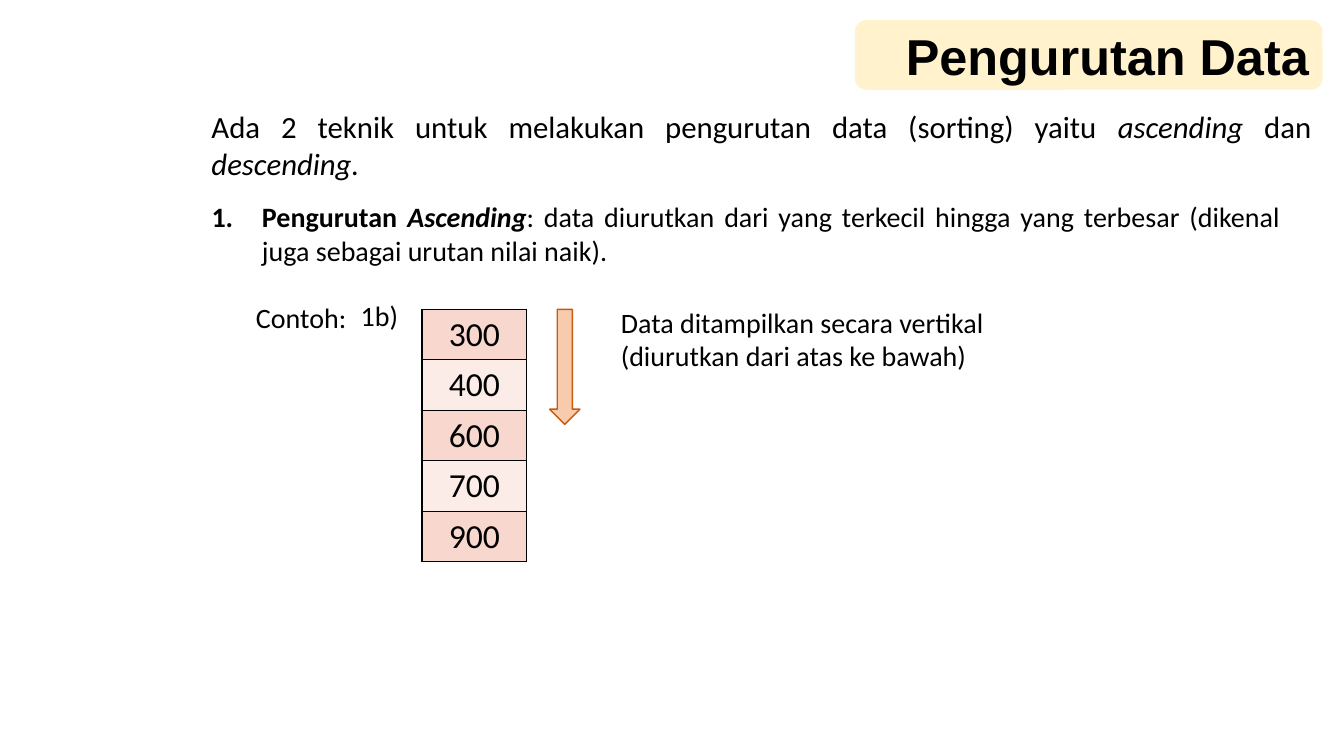
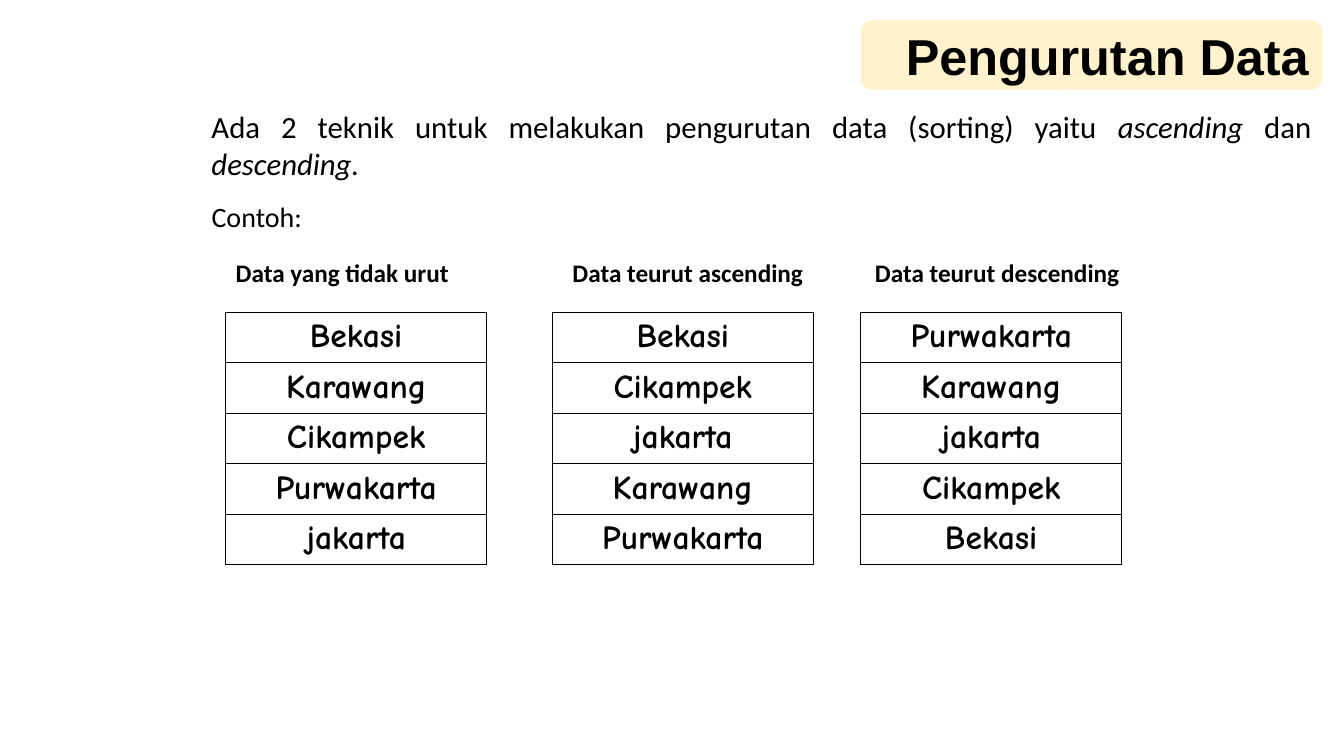
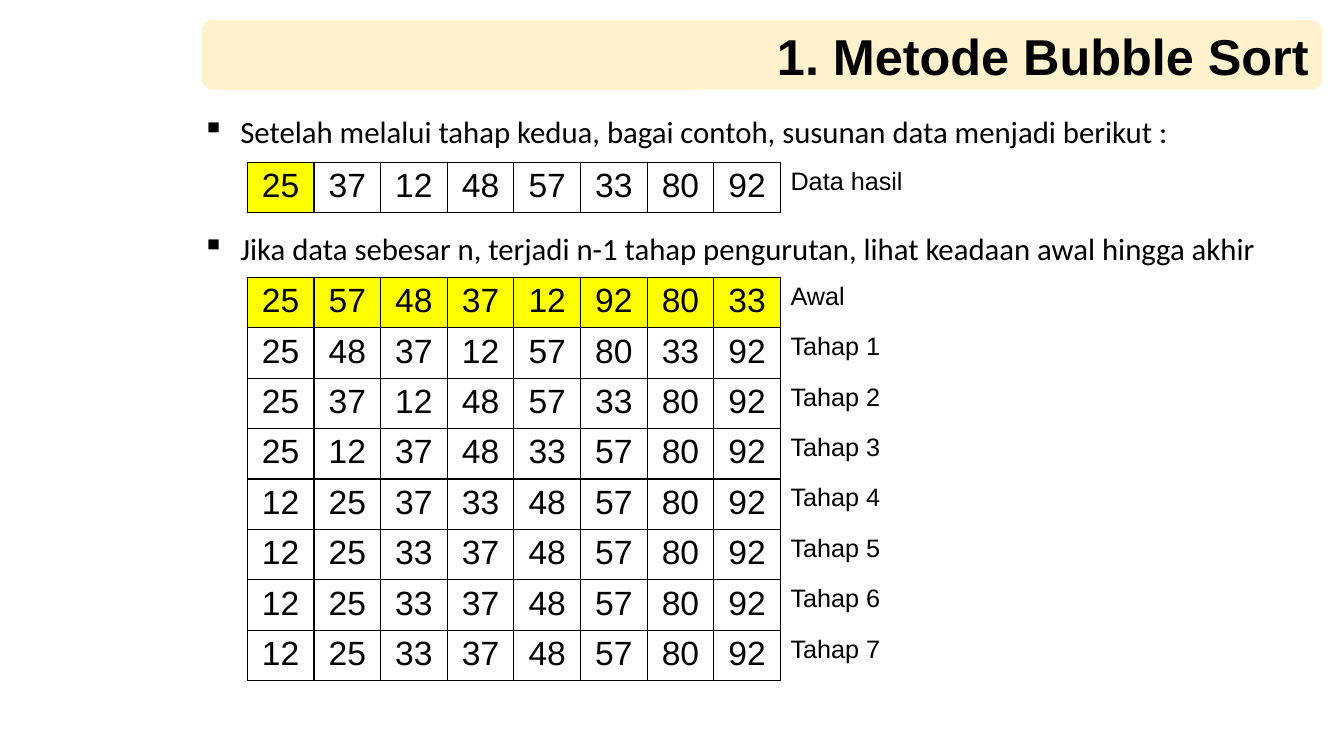
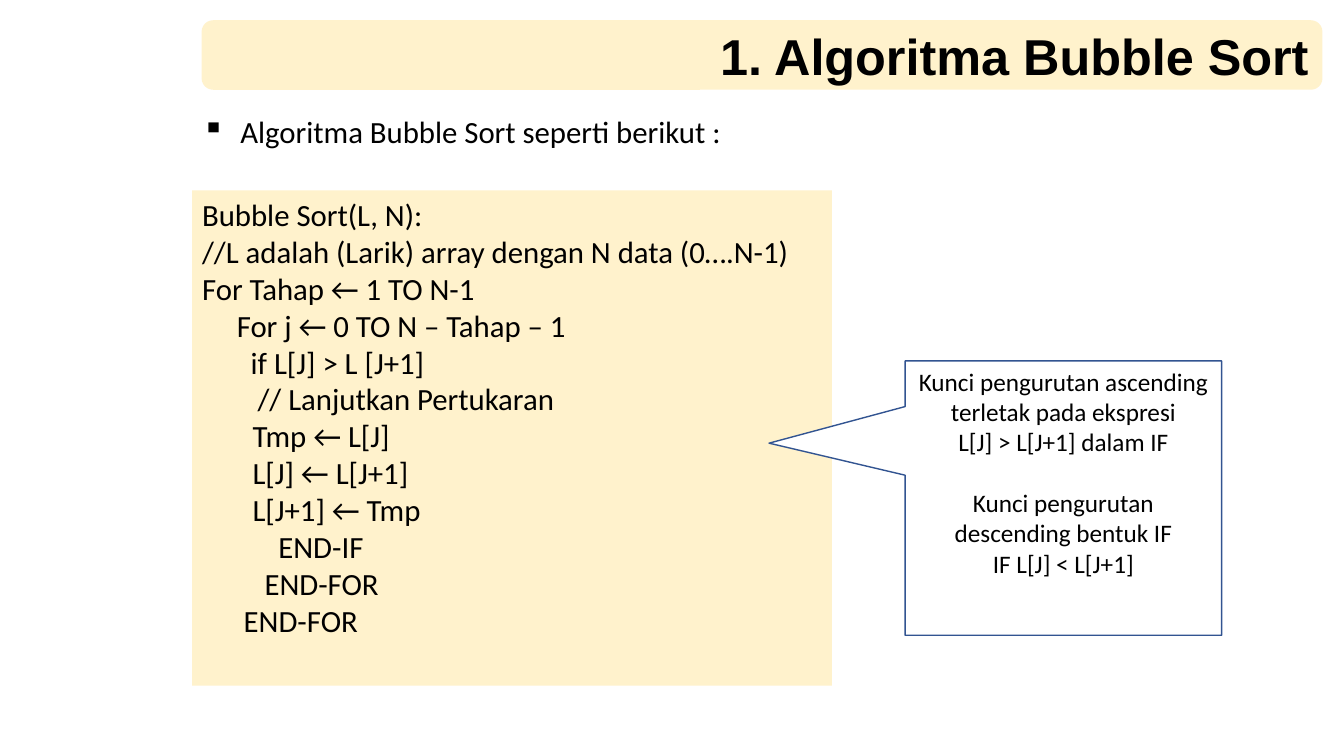
import pptx
import pptx.util
import pptx.dml.color
import pptx.enum.shapes
import pptx.enum.text
import pptx.oxml.ns
import lxml.etree

SLIDE_WIDTH = pptx.util.Inches(13.33)
SLIDE_HEIGHT = pptx.util.Inches(7.5)
SHAPES = pptx.enum.shapes.MSO_SHAPE
ALIGN = pptx.enum.text.PP_ALIGN
ANCHOR = pptx.enum.text.MSO_ANCHOR

BLACK, WHITE, CREAM, YELLOW = "000000", "FFFFFF", "FFF2CC", "FFFF00"
PINK, PALE_PINK = "F8D7CE", "FCECE8"
PEACH, RUST, NAVY = "F8CBAD", "C55A11", "325491"

BAND_RIGHT = 98.4
TEXT_LEFT = 15
BULLET_LEFT = 14.3
TEXT_WIDTH = 83.3
BODY_TOP = 25.73
ROW_HEIGHT = 6.67
DIGIT_WIDTH = 4.96
LABEL_WIDTH = 27.7


def across(percent):
    return round(SLIDE_WIDTH * percent / 100)


def down(percent):
    return round(SLIDE_HEIGHT * percent / 100)


def place(left, top, width, height):
    return across(left), down(top), across(width), down(height)


def color(value):
    return pptx.dml.color.RGBColor.from_string(value)


def add_xml(parent, tag, **attributes):
    return lxml.etree.SubElement(parent, pptx.oxml.ns.qn(tag), attributes)


def write(frame, text, size=20, font="Calibri", bold=False, align=ALIGN.LEFT,
          margin=0, hanging=0, bullet=None, number=None, tabs=(), before=0):
    """Adds one paragraph; text is a string or (string, style letters) pairs."""
    para = frame.paragraphs[0]
    if para.runs:
        para = frame.add_paragraph()
    para.alignment = align
    if before:
        para.space_before = pptx.util.Pt(before)
    properties = para._p.get_or_add_pPr()
    if margin:
        properties.set("marL", str(pptx.util.Inches(margin)))
        properties.set("indent", str(-pptx.util.Inches(hanging)))
    if bullet:
        add_xml(properties, "a:buChar", char=bullet)
    if number:
        add_xml(properties, "a:buAutoNum", type=number)
    if tabs:
        stops = add_xml(properties, "a:tabLst")
        for stop in tabs:
            add_xml(stops, "a:tab", pos=str(pptx.util.Inches(stop)), algn="l")
    for words, style in [(text, "")] if isinstance(text, str) else text:
        span = para.add_run()
        span.text = words
        span.font.size = pptx.util.Pt(size)
        span.font.name = font
        span.font.bold = bold or "b" in style
        span.font.italic = "i" in style
        span.font.color.rgb = color(BLACK)


def add_text(page, area, text, wrap=True, **text_format):
    frame = page.shapes.add_textbox(*place(*area)).text_frame
    frame.word_wrap = wrap
    write(frame, text, **text_format)
    return frame


def add_shape(page, kind, area, fill, line=None):
    shape = page.shapes.add_shape(kind, *place(*area))
    shape.shadow.inherit = False
    shape.fill.solid()
    shape.fill.fore_color.rgb = color(fill)
    if line:
        shape.line.color.rgb = color(line)
        shape.line.width = pptx.util.Pt(1)
    else:
        shape.line.fill.background()
    shape.text_frame.word_wrap = True
    return shape


def style_cell(cell, fill, borders):
    if fill:
        cell.fill.solid()
        cell.fill.fore_color.rgb = color(fill)
    else:
        cell.fill.background()
    properties = cell._tc.get_or_add_tcPr()
    for index, side in enumerate("LRTB"):
        edge = add_xml(properties, "a:ln" + side, w=str(pptx.util.Pt(1)))
        if side in borders:
            add_xml(add_xml(edge, "a:solidFill"), "a:srgbClr", val=BLACK)
        else:
            add_xml(edge, "a:noFill")
        properties.insert(index, edge)


def add_table(page, left, top, widths, rows, fills, labels=(), **text_format):
    area = place(left, top, sum(widths), ROW_HEIGHT * len(rows))
    table = page.shapes.add_table(len(rows), len(widths), *area).table
    table.first_row = table.horz_banding = False
    for column, width in zip(table.columns, widths):
        column.width = across(width)
    for row_index, (row, row_fills) in enumerate(zip(rows, fills)):
        table.rows[row_index].height = down(ROW_HEIGHT)
        for column_index, (value, fill) in enumerate(zip(row, row_fills)):
            cell = table.cell(row_index, column_index)
            style_cell(cell, fill, "LRTB")
            write(cell.text_frame, str(value), size=24, align=ALIGN.CENTER, **text_format)
    for row_index, label in enumerate(labels):
        cell = table.cell(row_index, len(widths) - 1)
        style_cell(cell, None, "L")
        write(cell.text_frame, label, size=18, **text_format)


def add_list_table(page, left, top, width, values, fills, **text_format):
    add_table(page, left, top, [width], [[value] for value in values],
              [[fill] for fill in fills], **text_format)


def add_stage_table(page, top, rows, fills, labels):
    widths = [DIGIT_WIDTH] * len(rows[0]) + [LABEL_WIDTH]
    add_table(page, 18.4, top, widths, rows, fills, labels, font="Arial")


def add_page(deck, title, band_left=TEXT_LEFT):
    page = deck.slides.add_slide(deck.slide_layouts[6])
    band = add_shape(page, SHAPES.ROUNDED_RECTANGLE,
                     (band_left, 2.67, BAND_RIGHT - band_left, 9.2), CREAM)
    band.text_frame.vertical_anchor = ANCHOR.MIDDLE
    write(band.text_frame, title, size=36, font="Arial", bold=True, align=ALIGN.RIGHT)
    return page


def add_intro(page):
    add_text(page, (TEXT_LEFT, 13.6, TEXT_WIDTH, 11.2), [
        ("Ada 2 teknik untuk melakukan pengurutan data (sorting) yaitu ", ""),
        ("ascending", "i"), (" dan ", ""), ("descending.", "i"),
    ], size=22, align=ALIGN.JUSTIFY)


def add_bullet(page, top, text):
    add_text(page, (BULLET_LEFT, top, TEXT_WIDTH, 6.27), text, size=22,
             align=ALIGN.JUSTIFY, margin=0.38, hanging=0.38, bullet="▪")


def build_ascending(deck):
    page = add_page(deck, "Pengurutan Data", 63.6)
    add_intro(page)
    frame = add_text(page, (TEXT_LEFT, BODY_TOP, 81, 19.3), [
        ("Pengurutan ", "b"), ("Ascending", "bi"),
        (": data diurutkan dari yang terkecil hingga yang terbesar "
         "(dikenal juga sebagai urutan nilai naik).", ""),
    ], align=ALIGN.JUSTIFY, margin=0.5, hanging=0.5, number="arabicPeriod")
    write(frame, "Contoh:", margin=0.44, before=24)
    top = 40.93
    add_list_table(page, 31.4, top, 7.8, [300, 400, 600, 700, 900],
                   [PINK, PALE_PINK, PINK, PALE_PINK, PINK])
    note = add_text(page, (45.45, 39.73, 28.8, 10.27),
                    "Data ditampilkan secara vertikal", wrap=False)
    write(note, "(diurutkan dari atas ke bawah)")
    add_shape(page, SHAPES.DOWN_ARROW, (40.9, top, 2.25, 15.2), PEACH, RUST)
    add_text(page, (26.1, 38.8, 4.35, 5.87), "1b)", wrap=False)


def build_comparison(deck):
    page = add_page(deck, "Pengurutan Data", 64.05)
    add_intro(page)
    add_text(page, (TEXT_LEFT, BODY_TOP, 81, 5.87), "Contoh:")
    cities = ["Bekasi", "Karawang", "Cikampek", "Purwakarta", "jakarta"]
    ascending = sorted(cities, key=str.lower)
    lefts = [16.8, 41.1, 64.05]
    for left, values in zip(lefts, [cities, ascending, ascending[::-1]]):
        add_list_table(page, left, 41.33, 19.4, values, [WHITE] * len(values),
                       font="Comic Neue", bold=True)
    add_text(page, (lefts[0], 33.33, 68.1, 5.33),
             "Data yang tidak urut\tData teurut ascending\tData teurut descending",
             size=18, bold=True, tabs=(3.34, 6.34))


def build_stages(deck):
    page = add_page(deck, "1. Metode Bubble Sort")
    stages = [
        [25, 57, 48, 37, 12, 92, 80, 33],
        [25, 48, 37, 12, 57, 80, 33, 92],
        [25, 37, 12, 48, 57, 33, 80, 92],
        [25, 12, 37, 48, 33, 57, 80, 92],
        [12, 25, 37, 33, 48, 57, 80, 92],
    ] + [[12, 25, 33, 37, 48, 57, 80, 92]] * 3
    count = len(stages[0])
    add_bullet(page, 14.27,
               "Setelah melalui tahap kedua, bagai contoh, susunan data menjadi berikut :")
    add_stage_table(page, 21.47, [stages[2]], [[YELLOW] + [None] * (count - 1)],
                    ["Data hasil"])
    add_bullet(page, 29.73,
               "Jika data sebesar n, terjadi n-1 tahap pengurutan, lihat keadaan awal hingga akhir")
    fills = [[YELLOW] * count] + [[WHITE] * count] * (len(stages) - 1)
    labels = ["Awal"] + [f"Tahap {stage}" for stage in range(1, len(stages))]
    add_stage_table(page, 36.67, stages, fills, labels)


def build_algorithm(deck):
    page = add_page(deck, "1. Algoritma Bubble Sort")
    add_bullet(page, 14.27, "Algoritma Bubble Sort seperti berikut :")
    code = add_shape(page, SHAPES.RECTANGLE, (BULLET_LEFT, 25.2, 47.6, 65.5), CREAM)
    code.text_frame.vertical_anchor = ANCHOR.TOP
    for line in [
        "Bubble Sort(L, N):",
        "//L adalah (Larik) array dengan N data (0….N-1)",
        "For Tahap ← 1 TO N-1",
        "     For j ← 0 TO N – Tahap – 1",
        "       if L[J] > L [J+1]",
        "        // Lanjutkan Pertukaran",
        "\tTmp ← L[J]",
        "\tL[J] ← L[J+1]",
        "\tL[J+1] ← Tmp",
        "           END-IF",
        "         END-FOR",
        "      END-FOR",
    ]:
        write(code.text_frame, line, size=22)
    callout = add_shape(page, SHAPES.RECTANGULAR_CALLOUT,
                        (67.35, 47.73, 23.55, 36.3), WHITE, NAVY)
    callout.adjustments[0] = -0.93
    callout.adjustments[1] = -0.2
    callout.text_frame.vertical_anchor = ANCHOR.TOP
    for line, before in [
        ("Kunci pengurutan ascending terletak pada ekspresi", 0),
        ("L[J] > L[J+1] dalam IF", 0),
        ("Kunci pengurutan descending bentuk IF", 22),
        ("IF L[J] < L[J+1]", 0),
    ]:
        write(callout.text_frame, line, size=18, align=ALIGN.CENTER, before=before)


def main():
    deck = pptx.Presentation()
    deck.slide_width = SLIDE_WIDTH
    deck.slide_height = SLIDE_HEIGHT
    build_ascending(deck)
    build_comparison(deck)
    build_stages(deck)
    build_algorithm(deck)
    deck.save("out.pptx")


if __name__ == "__main__":
    main()
